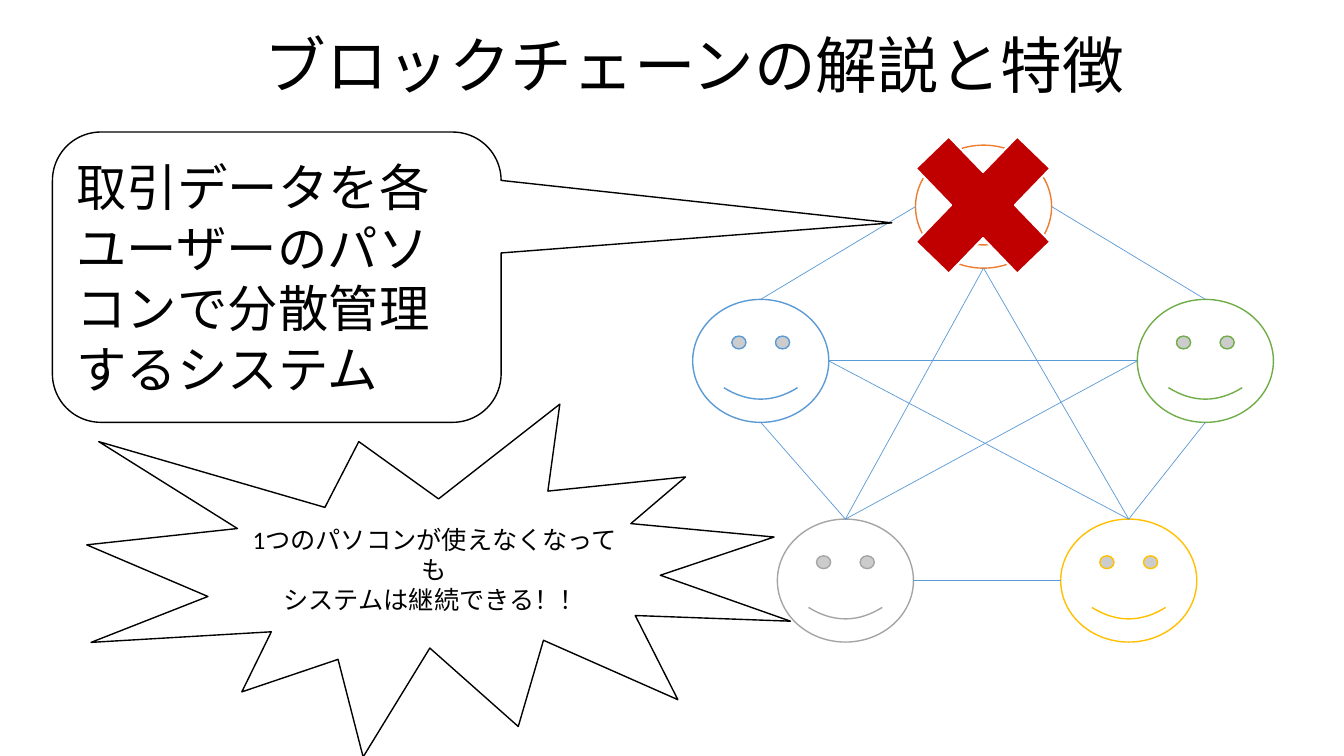
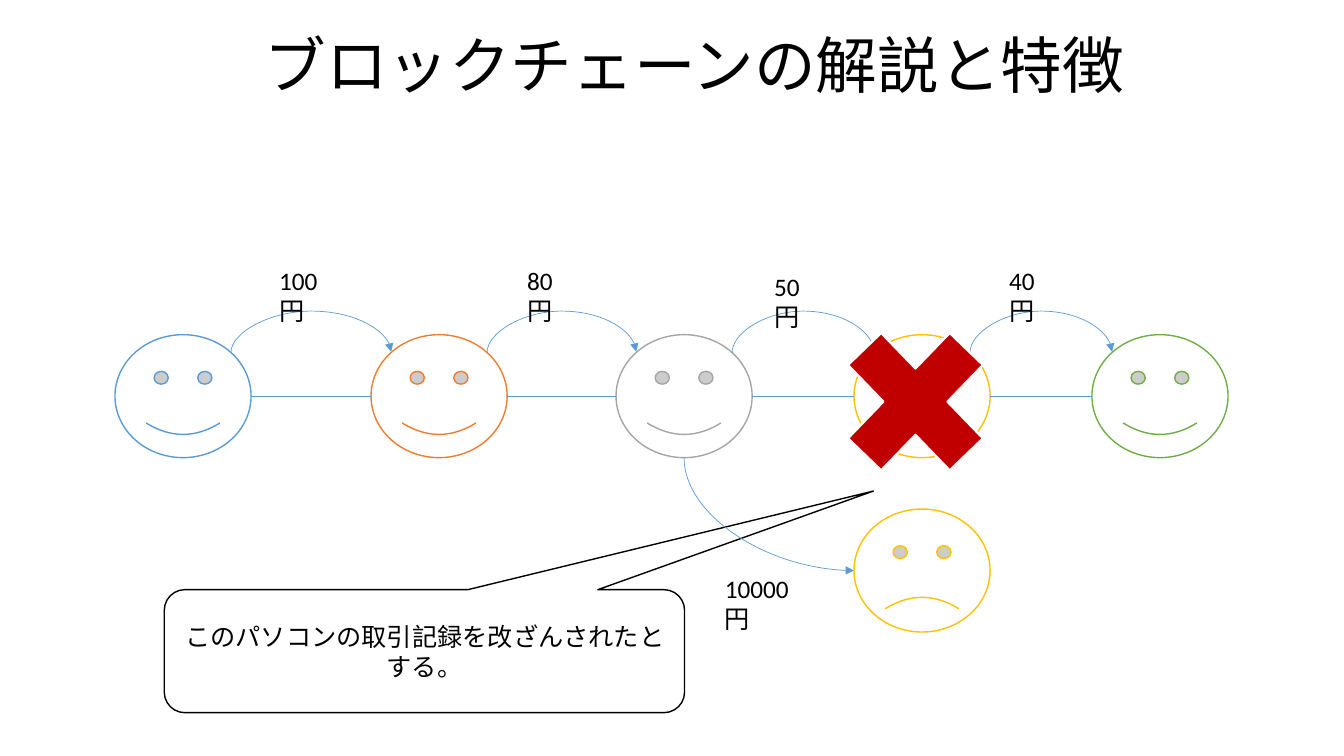
from lxml import etree
from pptx import Presentation
from pptx.dml.color import RGBColor
from pptx.enum.shapes import MSO_CONNECTOR, MSO_SHAPE
from pptx.enum.text import MSO_ANCHOR, PP_ALIGN
from pptx.oxml.ns import qn
from pptx.util import Inches, Pt

STRAIGHT, CURVE = MSO_CONNECTOR.STRAIGHT, MSO_CONNECTOR.CURVE
SMILEY, CROSS = MSO_SHAPE.SMILEY_FACE, MSO_SHAPE.MATH_MULTIPLY
CALLOUT, BURST = MSO_SHAPE.ROUNDED_RECTANGULAR_CALLOUT, MSO_SHAPE.EXPLOSION1
LEFT, CENTER = PP_ALIGN.LEFT, PP_ALIGN.CENTER

# Shared look
FONT = "Calibri"
BLACK, WHITE, RED = "000000", "FFFFFF", "C00000"
BLUE, ORANGE, GRAY, YELLOW, GREEN = "5B9BD5", "ED7D31", "A5A5A5", "FFC000", "70AD47"
FACE_W, FACE_H = 1.35, 1.22
CROSS_W, CROSS_H = 1.94, 2.01
TITLE = "ブロックチェーンの解説と特徴"
TITLE_BOX = (1.14, -0.05, 11.5, 1.45)

# Slide 1: users in a network
USERS = {
    "west": (6.87, 2.97, BLUE),
    "south_west": (7.71, 5.15, GRAY),
    "north": (9.08, 1.44, ORANGE),
    "east": (11.28, 2.97, GREEN),
    "south_east": (10.52, 5.15, YELLOW),
}
LINKS = [
    ("north", "left", "west", "top"),
    ("east", "top", "north", "right"),
    ("east", "left", "west", "right"),
    ("south_east", "left", "south_west", "right"),
    ("south_west", "top", "west", "bottom"),
    ("south_east", "top", "east", "bottom"),
    ("north", "bottom", "south_west", "top"),
    ("north", "bottom", "south_east", "top"),
    ("south_west", "top", "east", "left"),
    ("west", "right", "south_east", "top"),
]
SYSTEM_TEXT = ["取引データを各", "ユーザーのパソコンで分散管理するシステム"]
CONTINUITY_TEXT = ["1つのパソコンが使えなくなっても", "システムは継続できる！！"]

# Slide 2: payments along a chain
CHAIN_TOP = 3.32
CHAIN = [(1.14, BLUE), (3.68, ORANGE), (6.11, GRAY), (8.47, YELLOW), (10.83, GREEN)]
PAYMENTS = [  # text, left, top, width
    ("100円", 2.67, 2.58, 0.8),
    ("80円", 5.13, 2.58, 0.7),
    ("50円", 7.58, 2.64, 0.7),
    ("40円", 9.91, 2.58, 0.7),
    ("10000円", 7.09, 5.64, 1.05),
]
TAMPER_TEXT = ["このパソコンの取引記録を改ざんされたとする。"]
FORGED_TOP = 5.05
ARC_RISE, ARC_DROP = 0.42, 0.01
ARC_INSET = 0.2  # where an arc meets a face, from its side and its top


def rgb(value):
    return RGBColor.from_string(value)


def write(shape, lines, size, align, spacing=None, anchor=MSO_ANCHOR.MIDDLE):
    frame = shape.text_frame
    frame.word_wrap = True
    frame.vertical_anchor = anchor
    frame.text = "\n".join(lines)
    for paragraph in frame.paragraphs:
        paragraph.alignment = align
        paragraph.line_spacing = spacing
        paragraph.font.name = FONT
        paragraph.font.size = Pt(size)
        paragraph.font.color.rgb = rgb(BLACK)


def add_text(slide, box, lines, size, align, **options):
    write(slide.shapes.add_textbox(*map(Inches, box)), lines, size, align, **options)


def add_figure(slide, kind, box, fill, line, width=1, adjust=()):
    shape = slide.shapes.add_shape(kind, *map(Inches, box))
    shape.shadow.inherit = False
    shape.fill.solid()
    shape.fill.fore_color.rgb = rgb(fill)
    shape.line.color.rgb = rgb(line)
    shape.line.width = Pt(width)
    for index, value in enumerate(adjust):
        shape.adjustments[index] = value
    return shape


def add_face(slide, left, top, color, adjust=()):
    add_figure(slide, SMILEY, (left, top, FACE_W, FACE_H), WHITE, color, adjust=adjust)


def add_cross(slide, left, top):
    add_figure(slide, CROSS, (left, top, CROSS_W, CROSS_H), RED, WHITE, 1.5)


def add_link(slide, start, end, kind=STRAIGHT):
    link = slide.shapes.add_connector(kind, *map(Inches, (*start, *end)))
    link.line.color.rgb = rgb(BLUE)
    link.line.width = Pt(0.5)
    etree.SubElement(link._element.spPr, qn("a:effectLst"))
    return link


def add_curved_arrow(slide, start, end, preset, turn, flips, bend=None):
    """Curve that leaves start vertically: its frame lies on its side."""
    mid_x, mid_y = (start[0] + end[0]) / 2, (start[1] + end[1]) / 2
    across, down = abs(end[0] - start[0]), abs(end[1] - start[1])
    left, top = mid_x - down / 2, mid_y - across / 2
    arrow = add_link(slide, (left, top), (left + down, top + across), CURVE)
    properties = arrow._element.spPr
    frame = properties.find(qn("a:xfrm"))
    frame.set("rot", str(turn * 60000))
    for flip in flips:
        frame.set(flip, "1")
    geometry = properties.find(qn("a:prstGeom"))
    geometry.set("prst", preset)
    if bend is not None:
        guides = geometry.find(qn("a:avLst"))
        if guides is None:
            guides = etree.SubElement(geometry, qn("a:avLst"))
        etree.SubElement(guides, qn("a:gd"), name="adj1", fmla=f"val {round(bend * 100000)}")
    etree.SubElement(properties.find(qn("a:ln")), qn("a:tailEnd"), type="triangle")


def site(left, top, side):
    across, down = {"left": (0, 0.5), "right": (1, 0.5),
                    "top": (0.5, 0), "bottom": (0.5, 1)}[side]
    return left + across * FACE_W, top + down * FACE_H


def add_titled_slide(deck):
    slide = deck.slides.add_slide(deck.slide_layouts[6])
    add_text(slide, TITLE_BOX, [TITLE], 44, CENTER, spacing=0.9)
    return slide


def build_network(deck):
    slide = add_titled_slide(deck)
    for user in USERS.values():
        add_face(slide, *user)
    for first, first_side, second, second_side in LINKS:
        add_link(slide, site(*USERS[first][:2], first_side),
                 site(*USERS[second][:2], second_side))
    add_cross(slide, 8.78, 1.03)
    system = add_figure(slide, CALLOUT, (0.52, 1.31, 4.45, 2.88), WHITE, BLACK,
                        adjust=(1.371, -0.187, 0.167))
    write(system, SYSTEM_TEXT, 36, LEFT)
    continuity = add_figure(slide, BURST, (0.86, 4.01, 6.98, 3.5), WHITE, BLACK)
    write(continuity, CONTINUITY_TEXT, 18, CENTER)


def build_chain(deck):
    slide = add_titled_slide(deck)
    for left, color in CHAIN:
        add_face(slide, left, CHAIN_TOP, color)

    # Neighbours: a straight link and a payment arc above it
    arc_y = CHAIN_TOP + ARC_INSET - 0.02
    for (payer, _), (payee, _) in zip(CHAIN, CHAIN[1:]):
        add_link(slide, site(payer, CHAIN_TOP, "right"), site(payee, CHAIN_TOP, "left"))
        add_curved_arrow(slide, (payer + FACE_W - ARC_INSET, arc_y),
                         (payee + ARC_INSET, arc_y - ARC_DROP),
                         "curvedConnector3", 90, ("flipH", "flipV"), ARC_RISE / ARC_DROP)

    # The tampered record and its forged branch
    add_cross(slide, 8.11, 2.98)
    tamper = add_figure(slide, CALLOUT, (1.63, 5.85, 5.16, FACE_H), WHITE, BLACK,
                        adjust=(0.863, -1.302, 0.167))
    write(tamper, TAMPER_TEXT, 18, CENTER)
    source, victim = CHAIN[2][0], CHAIN[3][0]
    add_curved_arrow(slide, site(source, CHAIN_TOP, "bottom"),
                     site(victim, FORGED_TOP, "left"), "curvedConnector2", 270, ("flipH",))
    add_face(slide, victim, FORGED_TOP, YELLOW, adjust=(-0.047,))

    for amount, left, top, width in PAYMENTS:
        add_text(slide, (left, top, width, 0.4), [amount], 18, LEFT, anchor=MSO_ANCHOR.TOP)


def main():
    deck = Presentation()
    deck.slide_width, deck.slide_height = Inches(13.33), Inches(7.5)
    build_network(deck)
    build_chain(deck)
    deck.save("out.pptx")


if __name__ == "__main__":
    main()
